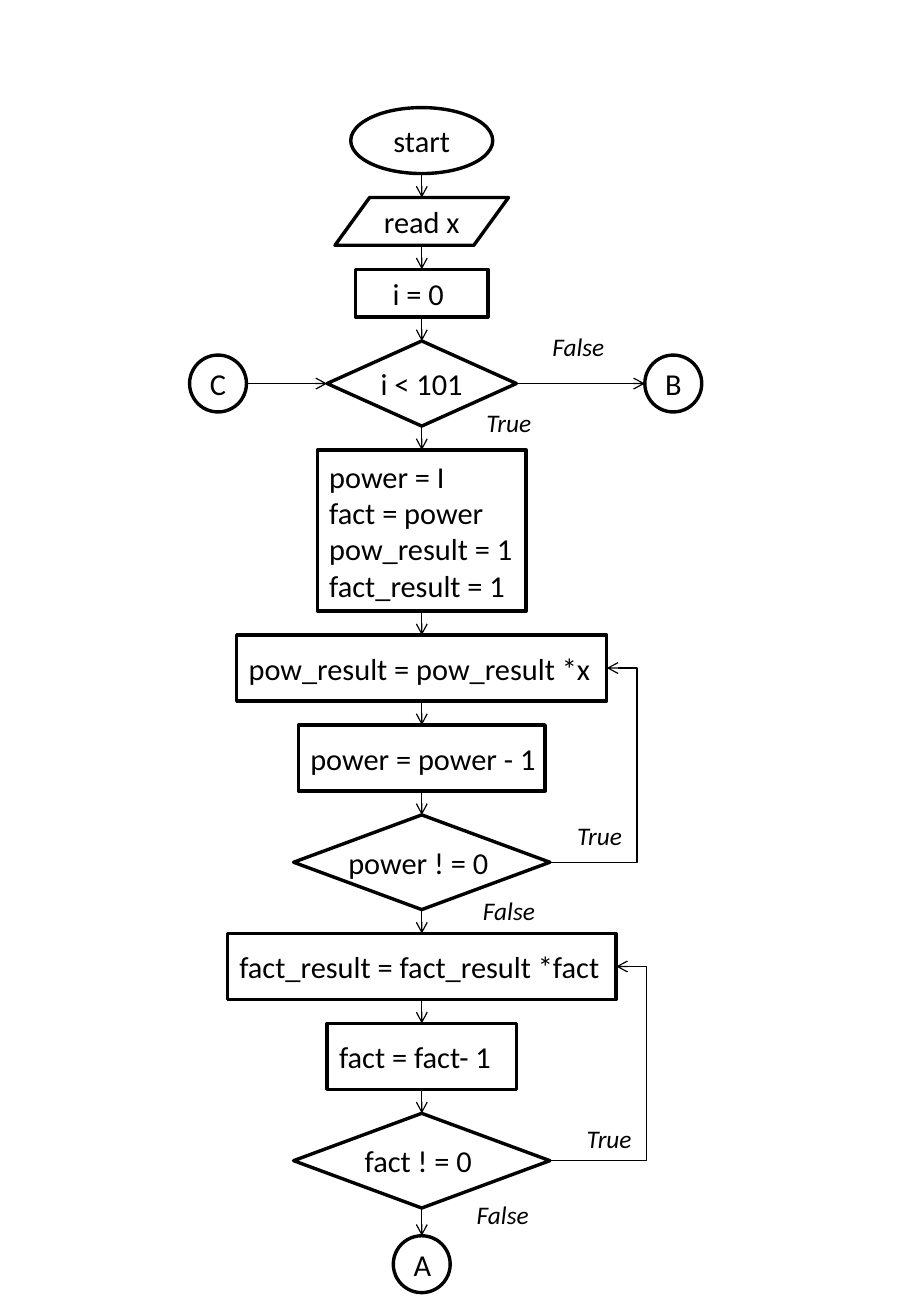
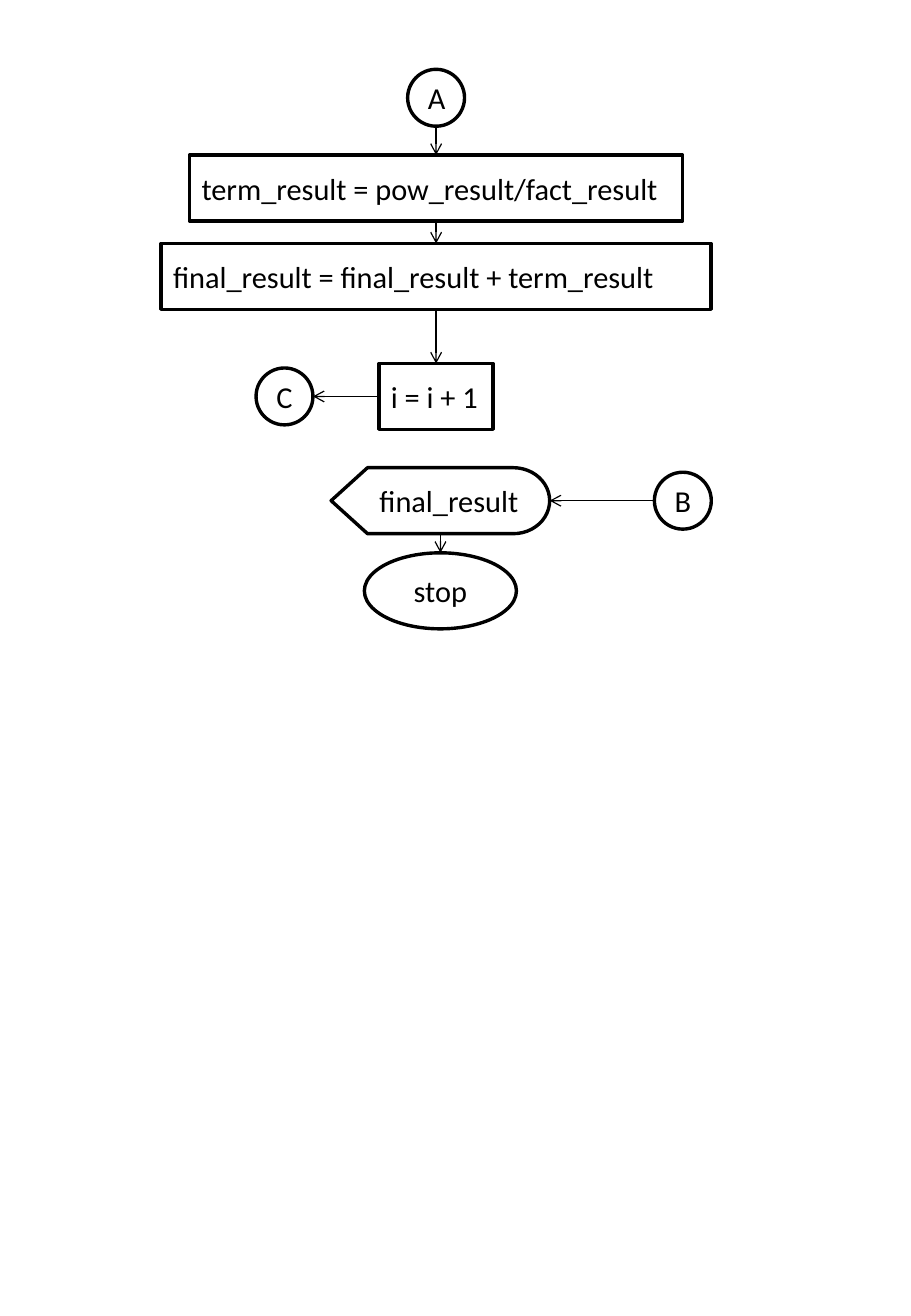
import lxml.etree
import pptx
import pptx.dml.color
import pptx.enum.shapes
import pptx.enum.text
import pptx.oxml.ns
import pptx.util

Cm = pptx.util.Cm
Pt = pptx.util.Pt
qn = pptx.oxml.ns.qn
MSO = pptx.enum.shapes.MSO_SHAPE
LINE = pptx.enum.shapes.MSO_CONNECTOR
LEFT = pptx.enum.text.PP_ALIGN.LEFT
CENTER = pptx.enum.text.PP_ALIGN.CENTER

# Shared look
BLACK = pptx.dml.color.RGBColor(0x00, 0x00, 0x00)
WHITE = pptx.dml.color.RGBColor(0xFF, 0xFF, 0xFF)
FONT = "Calibri"
STEP = 1.38      # height of a process box
GAP = 0.5        # usual distance between steps
CIRCLE = 1.19    # diameter of a page connector
LOOP_OUT = 0.63  # how far a loop runs past its target


def add_text(slide, text, left, top, width, height, kind=None,
             align=LEFT, size=18, italic=False):
    """Add an outlined step of the given kind, or a plain label without one."""
    place = Cm(left), Cm(top), Cm(width), Cm(height)
    if kind is None:
        shape = slide.shapes.add_textbox(*place)
        shape.text_frame.auto_size = pptx.enum.text.MSO_AUTO_SIZE.SHAPE_TO_FIT_TEXT
    else:
        shape = slide.shapes.add_shape(kind, *place)
        shape.shadow.inherit = False
        shape.fill.solid()
        shape.fill.fore_color.rgb = WHITE
        shape.line.color.rgb = BLACK
        shape.line.width = Pt(2)
        shape.text_frame.vertical_anchor = pptx.enum.text.MSO_ANCHOR.MIDDLE
    shape.text_frame.word_wrap = kind == MSO.OVAL
    shape.text_frame.text = text
    for paragraph in shape.text_frame.paragraphs:
        paragraph.alignment = align
        for run in paragraph.runs:
            run.font.name = FONT
            run.font.size = Pt(size)
            run.font.italic = italic
            run.font.color.rgb = BLACK
    return shape


def add_arrow(slide, start, end, loop_out=0):
    """Draw an arrow; with loop_out it bends that far to the right of its end."""
    kind = LINE.ELBOW if loop_out else LINE.STRAIGHT
    arrow = slide.shapes.add_connector(kind, *start, *end)
    arrow.line.color.rgb = BLACK
    arrow.line.width = Pt(0.75)
    properties = arrow._element.spPr
    lxml.etree.SubElement(properties.find(qn("a:ln")), qn("a:tailEnd"), type="arrow")
    lxml.etree.SubElement(properties, qn("a:effectLst"))
    if loop_out:
        span = end[0] - start[0]
        bend = round((span + loop_out) / span * 100000)
        adjustments = properties.find(qn("a:prstGeom")).find(qn("a:avLst"))
        lxml.etree.SubElement(adjustments, qn("a:gd"), name="adj1", fmla=f"val {bend}")


# Portrait pages, 9 to 13
deck = pptx.Presentation()
deck.slide_width = Cm(19.05)
deck.slide_height = deck.slide_width * 13 // 9
blank = deck.slide_layouts[6]
series_page = deck.slides.add_slide(blank)
result_page = deck.slides.add_slide(blank)

# Columns: page, centre, top, then steps as text, kind, alignment, width, height, gap below
columns = [
    (series_page, 8.82, 2.25, [
        ("start", MSO.OVAL, CENTER, 2.97, STEP, GAP),
        ("read x", MSO.FLOWCHART_DATA, CENTER, 3.63, 1, GAP),
        ("i = 0 ", MSO.RECTANGLE, CENTER, 2.77, 1, GAP),
        ("i < 101", MSO.FLOWCHART_DECISION, CENTER, 3.96, 1.78, GAP),
        ("power = I\nfact = power\npow_result = 1\nfact_result = 1",
         MSO.RECTANGLE, LEFT, 4.37, 3.37, GAP),
        ("pow_result = pow_result *x", MSO.RECTANGLE, LEFT, 7.74, STEP, GAP),
        ("power = power - 1", MSO.RECTANGLE, LEFT, 5.16, STEP, GAP),
        ("power ! = 0 ", MSO.FLOWCHART_DECISION, CENTER, 5.36, 1.98, GAP),
        ("fact_result = fact_result *fact", MSO.RECTANGLE, LEFT, 8.13, STEP, GAP),
        ("fact = fact- 1", MSO.RECTANGLE, LEFT, 3.96, STEP, GAP),
        ("fact ! = 0 ", MSO.FLOWCHART_DECISION, CENTER, 5.36, 1.98, 0.58),
        ("A", MSO.OVAL, CENTER, CIRCLE, CIRCLE, 0),
    ]),
    (result_page, 9.12, 1.45, [
        ("A", MSO.OVAL, CENTER, CIRCLE, CIRCLE, 0.6),
        ("term_result = pow_result/fact_result", MSO.RECTANGLE, LEFT, 10.31, STEP, 0.47),
        ("final_result = final_result + term_result",
         MSO.RECTANGLE, LEFT, 11.5, STEP, 1.13),
        ("i = i + 1", MSO.RECTANGLE, LEFT, 2.39, STEP, 0),
    ]),
    (result_page, 9.21, 9.78, [
        ("final_result", MSO.FLOWCHART_DISPLAY, LEFT, 4.57, STEP, 0.4),
        ("stop", MSO.OVAL, CENTER, 3.18, 1.59, 0),
    ]),
]
steps = {}
for page, center, top, column in columns:
    above = None
    for text, kind, align, width, height, gap in column:
        step = add_text(page, text, center - width / 2, top, width, height,
                        kind=kind, align=align)
        if above is not None:
            add_arrow(page, (Cm(center), above.top + above.height), (Cm(center), step.top))
        steps[text] = above = step
        top += height + gap

# Page connectors beside a step: letter, centre, step, whether the arrow runs left
side_circles = [
    (series_page, "B", 14.08, "i < 101", False),
    (series_page, "C", 4.56, "i < 101", False),
    (result_page, "B", 14.28, "final_result", True),
    (result_page, "C", 5.95, "i = i + 1", True),
]
for page, letter, center, step_text, runs_left in side_circles:
    step = steps[step_text]
    middle = step.top + step.height // 2
    circle = add_text(page, letter, center - CIRCLE / 2, middle / Cm(1) - CIRCLE / 2,
                      CIRCLE, CIRCLE, kind=MSO.OVAL, align=CENTER)
    first, second = sorted((step, circle), key=lambda shape: shape.left)
    ends = [(first.left + first.width, middle), (second.left, middle)]
    add_arrow(page, *(reversed(ends) if runs_left else ends))

# Loops back to the repeated multiplication
for test, target in [("power ! = 0 ", "pow_result = pow_result *x"),
                     ("fact ! = 0 ", "fact_result = fact_result *fact")]:
    start, end = [(steps[text].left + steps[text].width,
                   steps[text].top + steps[text].height // 2) for text in (test, target)]
    add_arrow(series_page, start, end, loop_out=Cm(LOOP_OUT))

# Branch labels
label_widths = {"True": 1.45, "False": 1.63}
for branch, left, top in [("False", 11.3, 6.81), ("True", 9.92, 8.4),
                          ("True", 11.82, 17.02), ("False", 9.85, 18.6),
                          ("True", 12.02, 23.37), ("False", 9.72, 24.96)]:
    add_text(series_page, branch, left, top, label_widths[branch], 0.89,
             size=15, italic=True)

deck.save("out.pptx")
